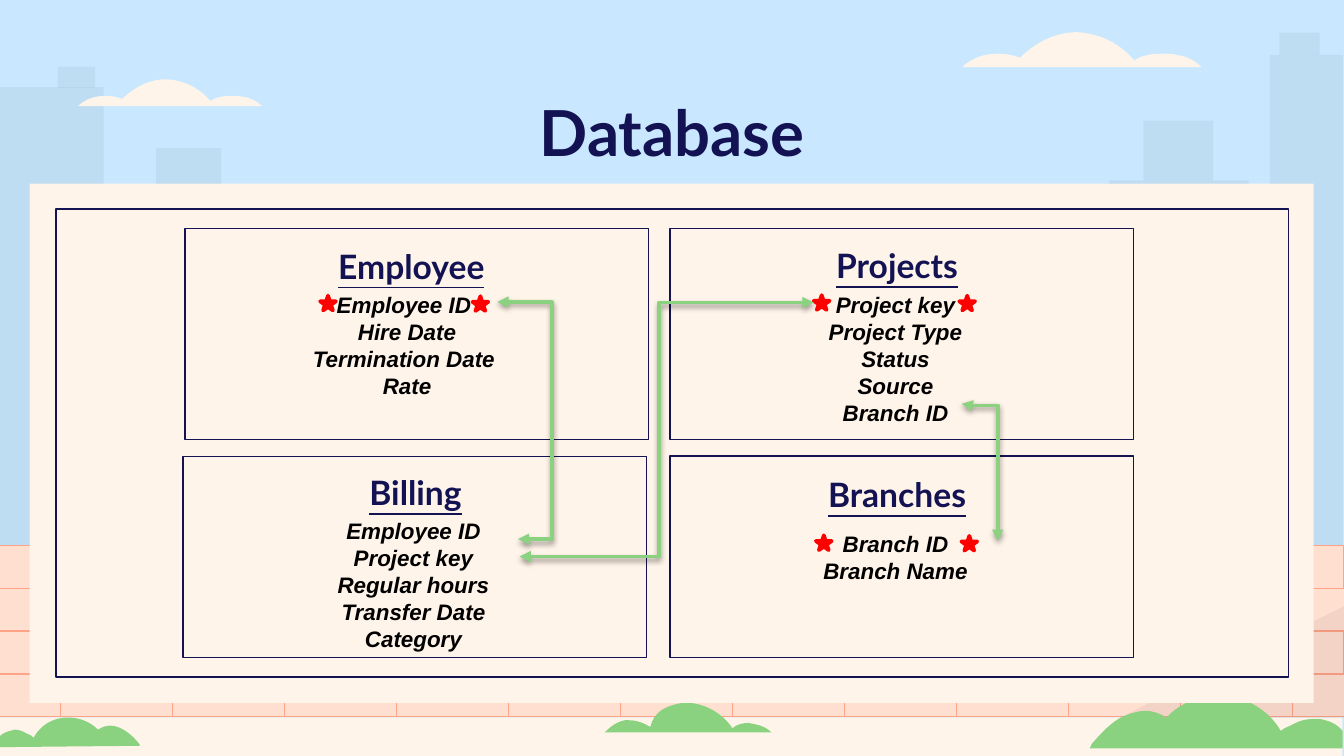
import pptx
import pptx.dml.color
import pptx.enum.shapes
import pptx.enum.text
import pptx.oxml
import pptx.oxml.ns
import pptx.util
from typing import NamedTuple, Optional

Cm = pptx.util.Cm
Pt = pptx.util.Pt
RGBColor = pptx.dml.color.RGBColor
Shapes = pptx.enum.shapes.MSO_SHAPE
qn = pptx.oxml.ns.qn

SKY = RGBColor(0xC9, 0xE8, 0xFF)
CREAM = RGBColor(0xFF, 0xF4, 0xE9)
BRICK = RGBColor(0xFF, 0xDF, 0xD0)
MORTAR = RGBColor(0xFF, 0xA3, 0x86)
GREEN = RGBColor(0x8A, 0xD2, 0x80)
NAVY = RGBColor(0x13, 0x13, 0x53)
RED = RGBColor(0xFF, 0x00, 0x00)
BLACK = RGBColor(0x00, 0x00, 0x00)

OUTLINE_UNIT = Cm(2.54) / 100
BRICK_WIDTH = 25.4 / 12
DRAWING_NS = 'xmlns:a="http://schemas.openxmlformats.org/drawingml/2006/main"'


class Area(NamedTuple):
    left: float
    top: float
    width: float
    height: float


class Entity(NamedTuple):
    name: str
    fields: list[str]
    card: Area
    heading: Area
    listing: Area
    stars: list[tuple[float, float]]


class Relation(NamedTuple):
    begin: tuple[float, float]
    end: tuple[float, float]
    bend: int
    turn: int = 0


class Outline(NamedTuple):
    """Pairs are straight steps, groups of six are cubic curves."""
    start: tuple[int, int]
    steps: list[tuple[int, ...]]


# Scenery
BUILDINGS = [
    Area(24, 1.04, 1.38, 10.03), Area(20.96, 3.41, 2.64, 0.37),
    Area(21.61, 2.28, 1.32, 1.13), Area(24.18, 0.62, 0.76, 0.42),
    Area(-0.25, 1.65, 2.21, 9.3), Area(2.95, 2.8, 1.23, 1.05),
    Area(1.09, 1.26, 0.71, 0.4),
]
CLOUD = Outline((85, 0), [
    (69, 0, 54, 8, 43, 19), (38, 17, 32, 16, 26, 16), (17, 16, 7, 19, 0, 26),
    (178, 26), (173, 21, 167, 18, 160, 17), (156, 16, 152, 16, 148, 16),
    (141, 16, 134, 17, 128, 21), (117, 8, 102, 1, 86, 0)])
BUSHES = [
    Outline((511, 523), [
        (524, 523, 538, 531, 545, 542), (548, 539, 553, 538, 557, 538),
        (559, 538, 560, 538, 562, 539), (567, 540, 571, 542, 574, 545),
        (450, 545), (454, 541, 459, 537, 465, 536),
        (466, 536, 467, 536, 468, 536), (474, 536, 479, 538, 484, 541),
        (485, 536, 488, 531, 493, 528), (498, 525, 503, 524, 508, 523)]),
    Outline((906, 518), [
        (909, 518, 911, 518, 913, 518), (930, 520, 945, 530, 953, 544),
        (956, 541, 959, 541, 962, 539), (967, 536, 973, 535, 979, 535),
        (981, 535, 983, 535, 986, 536), (991, 537, 996, 540, 999, 544),
        (999, 557), (811, 557), (810, 557, 813, 554, 812, 554),
        (819, 546, 827, 537, 836, 533), (841, 531, 847, 529, 852, 529),
        (858, 529, 863, 531, 868, 534), (878, 523, 892, 518, 906, 518)]),
    Outline((51, 534), [
        (50, 534, 49, 534, 48, 534), (38, 535, 30, 540, 25, 549),
        (24, 547, 22, 547, 20, 546), (17, 544, 14, 543, 11, 543),
        (10, 543, 8, 544, 7, 544), (4, 545, 1, 546, -1, 549),
        (-1, 556), (104, 555), (105, 555, 103, 554, 104, 554),
        (100, 549, 96, 545, 90, 542), (88, 541, 85, 540, 82, 540),
        (79, 540, 76, 541, 73, 543), (67, 537, 59, 534, 51, 534)]),
]

# Database tables and the links between their keys
ENTITIES = [
    Entity("Employee", ["Employee ID", " Hire Date", "Termination Date", " Rate"],
           Area(3.5, 4.32, 8.76, 3.99), Area(3.62, 4.39, 8.31, 0.97),
           Area(4.22, 5.26, 6.83, 2.49), [(6.05, 5.59), (8.93, 5.6)]),
    Entity("Projects",
           ["Project key", "Project Type", "Status", "Source", "Branch ID"],
           Area(12.66, 4.32, 8.76, 3.99), Area(12.8, 4.38, 8.31, 0.97),
           Area(15.25, 5.26, 3.35, 2.46), [(15.38, 5.58), (18.13, 5.59)]),
    Entity("Billing", ["Employee ID", "Project key", "Regular hours",
                       "Transfer Date", "Category"],
           Area(3.46, 8.63, 8.76, 3.8), Area(3.7, 8.67, 8.31, 0.97),
           Area(6, 9.53, 3.63, 1.32), []),
    Entity("Branches", ["Branch ID", "Branch Name"],
           Area(12.66, 8.62, 8.76, 3.81), Area(12.8, 8.71, 8.31, 0.97),
           Area(14.04, 9.77, 5.77, 1.32), [(15.42, 10.12), (18.17, 10.13)]),
]
RELATIONS = [
    Relation((9.4, 5.71), (9.79, 10.19), 263300),
    Relation((15.38, 5.72), (9.82, 10.52), 52600),
    Relation((17.22, 9.27), (19.81, 8.59), 98800, turn=270),
]


def paint(shape, fill: Optional[RGBColor], line: Optional[RGBColor] = None,
          weight: float = 0.75, opacity: int = 100) -> None:
    shape.shadow.inherit = False
    if fill is None:
        shape.fill.background()
    else:
        shape.fill.solid()
        shape.fill.fore_color.rgb = fill
        if opacity < 100:
            color = shape._element.spPr.find(".//" + qn("a:srgbClr"))
            color.append(pptx.oxml.parse_xml(
                f'<a:alpha {DRAWING_NS} val="{opacity * 1000}"/>'))
    if line is None:
        shape.line.fill.background()
    else:
        shape.line.color.rgb = line
        shape.line.width = Pt(weight)


def add_preset(page, area: Area, fill: Optional[RGBColor], kind=Shapes.RECTANGLE,
               **style):
    shape = page.shapes.add_shape(kind, *map(Cm, area))
    paint(shape, fill, **style)
    return shape


def add_outline(page, outline: Outline, fill: RGBColor,
                origin: tuple[int, int] = (0, 0), scale: float = 1) -> None:
    points = [outline.start]
    for step in outline.steps:
        points += zip(step[::2], step[1::2])
    placed = [tuple(round((start + scale * value) * OUTLINE_UNIT)
                    for start, value in zip(origin, point)) for point in points]
    builder = page.shapes.build_freeform(*placed[0], scale=1.0)
    builder.add_line_segments(placed[1:], close=True)
    shape = builder.convert_to_shape()
    paint(shape, fill)
    # Gather each curve's three points into one cubic segment
    segments = iter(list(shape._element.spPr.iter(qn("a:lnTo"))))
    for step in outline.steps:
        segment = next(segments)
        if len(step) == 6:
            curve = pptx.oxml.parse_xml(f"<a:cubicBezTo {DRAWING_NS}/>")
            segment.addprevious(curve)
            for part in (segment, next(segments), next(segments)):
                curve.append(part[0])
                part.getparent().remove(part)


def write(box, lines: list[str], font: str, size: float, color: RGBColor,
          italic: bool = False, underline: bool = False) -> None:
    frame = box.text_frame
    frame.word_wrap = True
    frame.auto_size = pptx.enum.text.MSO_AUTO_SIZE.NONE
    frame.vertical_anchor = pptx.enum.text.MSO_ANCHOR.TOP
    frame.margin_left = frame.margin_right = Cm(0.25)
    frame.margin_top = frame.margin_bottom = Cm(0.25)
    frame.text = "\n".join(lines)
    for para in frame.paragraphs:
        para.alignment = pptx.enum.text.PP_ALIGN.CENTER
        para.line_spacing = 1.0
        para.font.name, para.font.size = font, Pt(size)
        para.font.bold, para.font.italic = True, italic
        para.font.underline = underline
        para.font.color.rgb = color


def add_relation(page, relation: Relation) -> None:
    arrow = page.shapes.add_connector(
        pptx.enum.shapes.MSO_CONNECTOR.ELBOW,
        *map(Cm, relation.begin), *map(Cm, relation.end))
    arrow.line.color.rgb = GREEN
    arrow.line.width = Pt(2)
    properties = arrow._element.spPr
    properties.find(qn("a:xfrm")).set("rot", str(relation.turn * 60000))
    properties.find(qn("a:prstGeom")).find(qn("a:avLst")).append(
        pptx.oxml.parse_xml(
            f'<a:gd {DRAWING_NS} name="adj1" fmla="val {relation.bend}"/>'))
    for end in ("headEnd", "tailEnd"):
        properties.find(qn("a:ln")).append(
            pptx.oxml.parse_xml(f'<a:{end} {DRAWING_NS} type="triangle"/>'))
    properties.append(pptx.oxml.parse_xml(
        f'<a:effectLst {DRAWING_NS}><a:outerShdw blurRad="39400" dist="20300" '
        'dir="5400000" rotWithShape="0"><a:srgbClr val="000000">'
        '<a:alpha val="38000"/></a:srgbClr></a:outerShdw></a:effectLst>'))


def add_scenery(page) -> None:
    for building in BUILDINGS:
        add_preset(page, building, BLACK, opacity=5)
    add_preset(page, Area(-0.03, 13.56, 25.4, 0.84), CREAM)
    # Brick wall: only the bottom course runs the full width
    full_course = [-0.97 + BRICK_WIDTH * column for column in range(13)]
    inner_ends = [-0.03, 23.28]
    outer_ends = [full_course[0], full_course[-1]]
    for row, lefts in enumerate([inner_ends, outer_ends, inner_ends, full_course]):
        for left in lefts:
            add_preset(page, Area(left, 10.31 + 0.81 * row, BRICK_WIDTH, 0.81),
                       BRICK, line=MORTAR)
    shade = add_preset(page, Area(21.16, 11.46, 4.24, 2.11), BLACK,
                       Shapes.RIGHT_TRIANGLE, opacity=5)
    shade._element.spPr.find(qn("a:xfrm")).set("flipH", "1")
    for bush in BUSHES:
        add_outline(page, bush, GREEN)
    add_outline(page, CLOUD, CREAM, (716, 24))
    add_outline(page, CLOUD, CREAM, (58, 59), 0.77)
    add_preset(page, Area(0.56, 3.47, 24.27, 9.82), CREAM)
    add_preset(page, Area(1.06, 3.95, 23.29, 8.85), None, line=NAVY)


def main() -> None:
    deck = pptx.Presentation()
    deck.slide_width, deck.slide_height = Cm(25.4), Cm(14.29)
    page = deck.slides.add_slide(deck.slide_layouts[5])
    page.background.fill.solid()
    page.background.fill.fore_color.rgb = SKY
    add_scenery(page)

    title = page.shapes.title
    title.left, title.top, title.width, title.height = map(
        Cm, Area(1.98, 1.5, 21.44, 1.6))
    write(title, ["Database"], "Lato", 34, NAVY)

    for entity in ENTITIES:
        add_preset(page, entity.card, None, line=NAVY)
        write(page.shapes.add_textbox(*map(Cm, entity.heading)), [entity.name],
              "Lato", 18, NAVY, underline=True)
        write(page.shapes.add_textbox(*map(Cm, entity.listing)), entity.fields,
              "Arial", 12, BLACK, italic=True)
        for left, top in entity.stars:
            add_preset(page, Area(left, top, 0.3, 0.28), RED,
                       Shapes.STAR_5_POINT, line=RED, weight=2)
    for relation in RELATIONS:
        add_relation(page, relation)
    deck.save("out.pptx")


if __name__ == "__main__":
    main()
